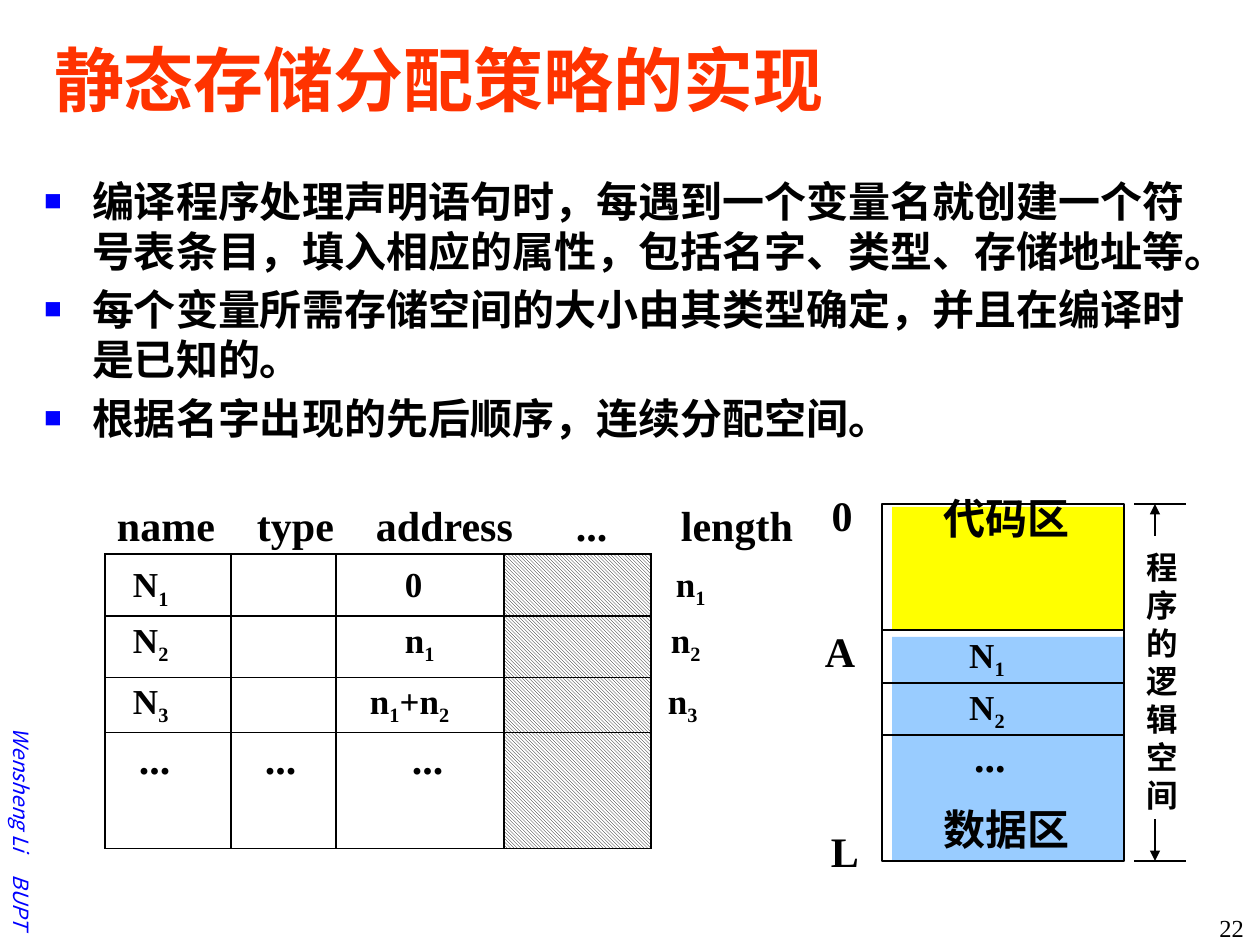
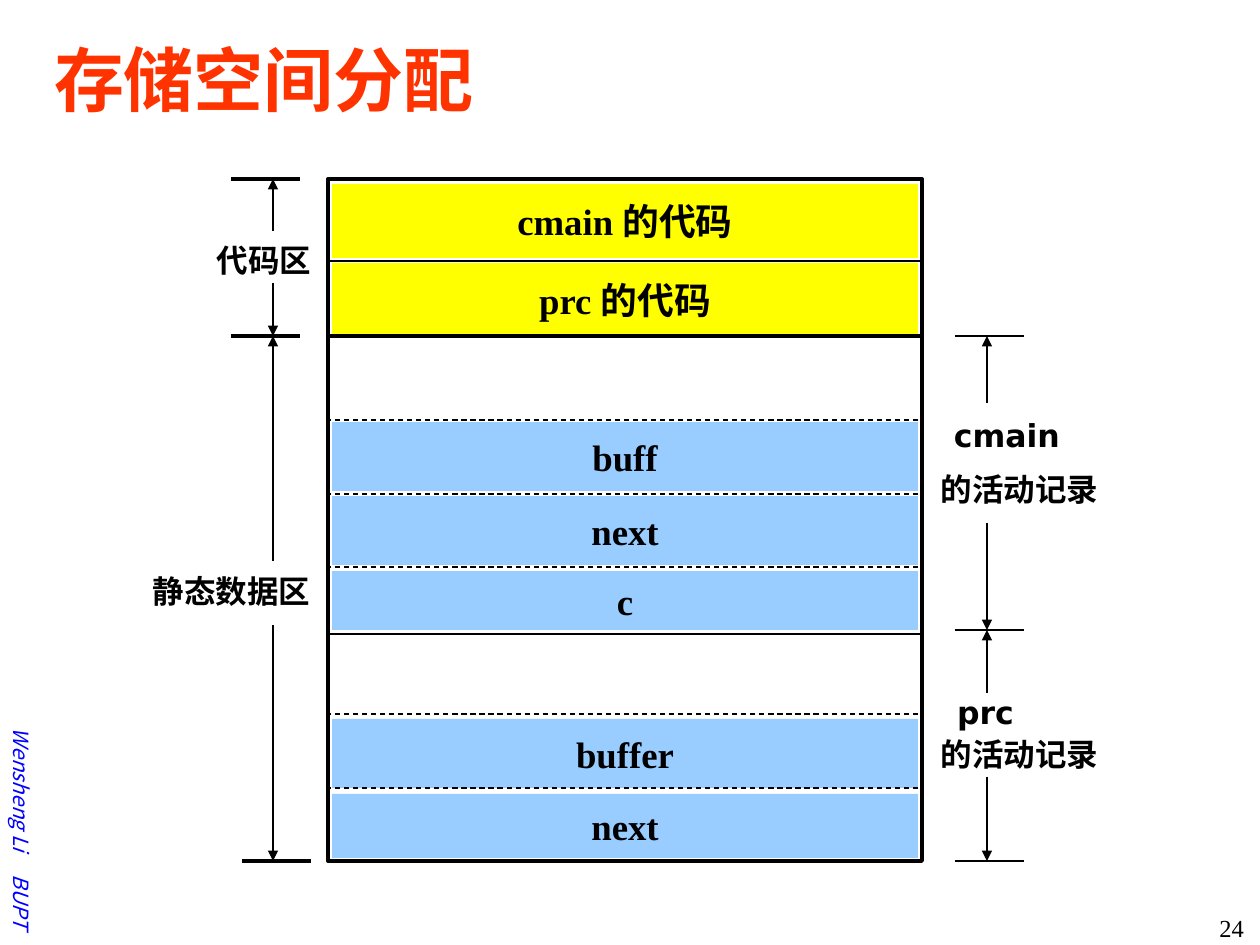
from lxml import etree
from pptx import Presentation
from pptx.dml.color import RGBColor
from pptx.enum import dml, shapes, text
from pptx.oxml.ns import qn
from pptx.util import Pt

EMU_PER_PX = 914400 / 126
SERIF, SANS, LATIN_SANS = "Times New Roman", "Noto Sans CJK SC", "DejaVu Sans"
BLACK, WHITE, RED, BLUE = "000000", "FFFFFF", "FF3300", "0000FF"
CODE_FILL, DATA_FILL = "FFFF00", "99CCFF"
LEFT, CENTER, RIGHT = text.PP_ALIGN.LEFT, text.PP_ALIGN.CENTER, text.PP_ALIGN.RIGHT
MIDDLE, TOP = text.MSO_ANCHOR.MIDDLE, text.MSO_ANCHOR.TOP


def px(length):
    return round(length * EMU_PER_PX)


def emu_box(box):
    return [px(length) for length in box]


def rgb(hex_colour):
    return RGBColor.from_string(hex_colour)


def child(parent, tag, **attributes):
    return etree.SubElement(parent, qn(tag), attributes)


# ---- Text ----

def add_run(paragraph, words, size, font=SERIF, colour=BLACK, bold=True,
            italic=False, subscript=False):
    run = paragraph.add_run()
    run.text = words
    run.font.name = font
    run.font.size = Pt(size)
    run.font.bold = bold
    run.font.italic = italic
    run.font.color.rgb = rgb(colour)
    properties = run._r.get_or_add_rPr()
    child(properties, "a:ea", typeface=SANS)
    if subscript:
        properties.set("baseline", "-25000")


def add_formula(paragraph, formula, size, **style):
    """Each "_" lowers the one character after it."""
    first, *rest = formula.split("_")
    if first:
        add_run(paragraph, first, size, **style)
    for piece in rest:
        add_run(paragraph, piece[0], size, subscript=True, **style)
        if piece[1:]:
            add_run(paragraph, piece[1:], size, **style)


def prepare_frame(frame, anchor=MIDDLE, wrap=False, inset=0):
    frame.auto_size = text.MSO_AUTO_SIZE.NONE
    frame.word_wrap = wrap
    frame.vertical_anchor = anchor
    frame.margin_left = frame.margin_right = px(inset)
    frame.margin_top = frame.margin_bottom = px(inset / 2)


def add_label(slide, box, formula, size, align=CENTER, **style):
    label = slide.shapes.add_textbox(*emu_box(box))
    prepare_frame(label.text_frame)
    paragraph = label.text_frame.paragraphs[0]
    paragraph.alignment = align
    add_formula(paragraph, formula, size, **style)
    return label


# ---- Shapes and lines ----

def add_block(slide, box, fill=None, outline=None):
    block = slide.shapes.add_shape(shapes.MSO_SHAPE.RECTANGLE, *emu_box(box))
    block.shadow.inherit = False
    if fill:
        block.fill.solid()
        block.fill.fore_color.rgb = rgb(fill)
    else:
        block.fill.background()
    if outline:
        block.line.color.rgb = rgb(BLACK)
        block.line.width = Pt(outline)
    else:
        block.line.fill.background()
    return block


def add_line(slide, ends, width, arrow=False, dashed=False):
    line = slide.shapes.add_connector(shapes.MSO_CONNECTOR.STRAIGHT, *emu_box(ends))
    line.line.color.rgb = rgb(BLACK)
    line.line.width = Pt(width)
    if dashed:
        line.line.dash_style = dml.MSO_LINE.DASH
    if arrow:
        child(line.line._get_or_add_ln(), "a:tailEnd", type="triangle")
    child(line._element.spPr, "a:effectLst")


def add_extent(slide, x, top, bottom, gap, width):
    """Two arrows pointing away from the gap left for a label."""
    gap_top, gap_bottom = gap
    add_line(slide, (x, gap_top, x, top), width, arrow=True)
    add_line(slide, (x, gap_bottom, x, bottom), width, arrow=True)


# ---- Shared frame of each slide ----

def add_author(slide):
    author = add_label(slide, (-79, 810, 202, 38), "", 12, LEFT)
    author.rotation = 90
    paragraph = author.text_frame.paragraphs[0]
    tabs = child(paragraph._p.get_or_add_pPr(), "a:tabLst")
    child(tabs, "a:tab", pos=str(px(147)), algn="l")
    add_run(paragraph, "Wensheng Li\tBUPT", 12, SANS, BLUE, bold=False, italic=True)


def start_slide(prs, title, number, layout):
    slide = prs.slides.add_slide(prs.slide_layouts[layout])
    add_author(slide)
    add_label(slide, (1152, 912, 92, 32), number, 14, RIGHT, bold=False)
    heading = slide.shapes.title
    heading.left, heading.top, heading.width, heading.height = emu_box((41, 21, 1187, 116))
    prepare_frame(heading.text_frame, wrap=True, inset=13)
    paragraph = heading.text_frame.paragraphs[0]
    paragraph.alignment = LEFT
    add_run(paragraph, title, 40, SANS, RED)
    return slide


def fill_bullets(body, box, points):
    body.left, body.top, body.width, body.height = emu_box(box)
    frame = body.text_frame
    prepare_frame(frame, TOP, wrap=True, inset=13)
    for index, point in enumerate(points):
        paragraph = frame.add_paragraph() if index else frame.paragraphs[0]
        properties = paragraph._p.get_or_add_pPr()
        properties.set("marL", str(px(48)))
        properties.set("indent", str(px(-48)))
        child(child(properties, "a:buClr"), "a:srgbClr", val=BLUE)
        child(properties, "a:buSzPct", val="70000")
        child(properties, "a:buFont", typeface=SERIF)
        child(properties, "a:buChar", char="■")
        paragraph.space_before = Pt(4.8 if index else 0)
        paragraph.line_spacing = Pt(28.6)
        add_run(paragraph, point, 24, SANS)


# ---- Slide 22: symbol table and program space ----

def border_cell(cell):
    properties = cell._tc.get_or_add_tcPr()
    for position, side in enumerate(("a:lnL", "a:lnR", "a:lnT", "a:lnB")):
        edge = etree.Element(qn(side), w=str(Pt(0.75)))
        child(child(edge, "a:solidFill"), "a:srgbClr", val=BLACK)
        properties.insert(position, edge)


def draw_symbol_table(slide, box):
    left, top, width, height = box
    columns = (126, 105, 168, 147)
    # Row height, space above the text, size, then (indent, value) by column
    blank = (0, "")
    rows = [(62, 12, 20, ((28, "N_1"), blank, (69, "0"), blank)),
            (62, 6, 20, ((28, "N_2"), blank, (69, "n_1"), blank)),
            (55, 5, 20, ((28, "N_3"), blank, (34, "n_1+n_2"), blank)),
            (116, 4, 24, ((34, "..."), (34, "..."), (76, "..."), blank))]

    # Hatched column, seen through the clear cells
    hatch = add_block(slide, (left + width - columns[-1], top, columns[-1], height))
    hatch.fill.patterned()
    hatch.fill.pattern = dml.MSO_PATTERN.LIGHT_DOWNWARD_DIAGONAL
    hatch.fill.fore_color.rgb = rgb(BLACK)
    hatch.fill.back_color.rgb = rgb(WHITE)

    table = slide.shapes.add_table(len(rows), len(columns), *emu_box(box)).table
    table.first_row = table.horz_banding = False
    for column, column_width in zip(table.columns, columns):
        column.width = px(column_width)
    for row, (row_height, space, size, entries) in zip(table.rows, rows):
        row.height = px(row_height)
        for cell, (indent, value) in zip(row.cells, entries):
            cell.fill.background()
            border_cell(cell)
            cell.margin_left, cell.margin_top = px(indent), px(space)
            cell.margin_right = cell.margin_bottom = 0
            cell.vertical_anchor = TOP
            paragraph = cell.text_frame.paragraphs[0]
            paragraph.font.size = Pt(size)
            add_formula(paragraph, value, size)

    # Headings above and lengths beside the grid
    for offset, heading in ((12, "name"), (152, "type"), (271, "address"),
                            (471, "..."), (576, "length")):
        label_width = 140 if heading == "address" else 114
        add_label(slide, (left + offset, top - 55, label_width, 52), heading, 24, LEFT)
    for offset, y, length in ((571, 5, "n_1"), (566, 61, "n_2"), (563, 122, "n_3")):
        add_label(slide, (left + offset, top + y, 63, 54), length, 20, LEFT)


def draw_program_space(slide, box):
    left, top, width, height = box
    right, bottom = left + width, top + height
    add_block(slide, (left + 10, top + 3, width - 10, 123), CODE_FILL)
    add_block(slide, (left + 10, top + 133, width - 10, height - 133), DATA_FILL)
    add_block(slide, box, outline=0.75)
    for y in (126, 179, 231):
        add_line(slide, (left, top + y, right, top + y), 0.75)

    # Contents and addresses: centre offset, middle, width, words, size
    for x, y, label_width, words, size in (
            (125, 14, 140, "代码区", 24), (125, 325, 140, "数据区", 24),
            (105, 153, 60, "N_1", 20), (105, 205, 60, "N_2", 20),
            (108, 252, 60, "...", 24), (-40, 11, 46, "0", 24),
            (-42, 147, 46, "A", 24), (-37, 347, 46, "L", 24)):
        add_label(slide, (left + x - label_width / 2, top + y - 25, label_width, 50),
                  words, size)

    # Extent of the logical space
    for y in (top, bottom):
        add_line(slide, (right + 10, y, right + 62, y), 0.75)
    add_extent(slide, right + 31, top, bottom, (top + 32, top + 315), 0.75)
    caption = slide.shapes.add_textbox(*emu_box((right + 10, top + 38, 56, 277)))
    prepare_frame(caption.text_frame)
    for index, character in enumerate("程序的逻辑空间"):
        frame = caption.text_frame
        paragraph = frame.add_paragraph() if index else frame.paragraphs[0]
        paragraph.alignment = CENTER
        paragraph.line_spacing = Pt(21.7)
        add_run(paragraph, character, 18)


def build_static_allocation(prs):
    slide = start_slide(prs, "静态存储分配策略的实现", "22", layout=1)
    fill_bullets(slide.placeholders[1], (31, 169, 1197, 293), [
        "编译程序处理声明语句时，每遇到一个变量名就创建一个符号表条目，填入相应的属性，包括名字、类型、存储地址等。",
        "每个变量所需存储空间的大小由其类型确定，并且在编译时是已知的。",
        "根据名字出现的先后顺序，连续分配空间。"])
    draw_symbol_table(slide, (105, 554, 546, 295))
    draw_program_space(slide, (882, 504, 242, 357))


# ---- Slide 24: memory layout ----

def draw_memory_map(slide, box):
    left, top, width, height = box
    add_block(slide, box, outline=2.25)
    for y, band_height, fill, words in (
            (5, 74, CODE_FILL, "cmain 的代码"), (84, 74, CODE_FILL, "prc 的代码"),
            (243, 69, DATA_FILL, "buff"), (317, 69, DATA_FILL, "next"),
            (392, 59, DATA_FILL, "c"), (540, 69, DATA_FILL, "buffer"),
            (615, 64, DATA_FILL, "next")):
        band = add_block(slide, (left + 4, top + y, width - 8, band_height), fill)
        prepare_frame(band.text_frame)
        paragraph = band.text_frame.paragraphs[0]
        paragraph.alignment = CENTER
        add_run(paragraph, words, 21)
    for y, line_width in ((82, 1.5), (157, 2.25), (455, 1.5)):
        add_line(slide, (left, top + y, left + width, top + y), line_width)
    for y in (241, 315, 388, 535, 609):
        add_line(slide, (left - 2, top + y, left + width, top + y), 0.75, dashed=True)


def draw_extents(slide, box, axis, ticks, tick_width, spans, captions):
    """Ticks and captions are offsets from the box; spans share one axis."""
    left, top, width, _ = box
    for x, y in ticks:
        add_line(slide, (left + x, top + y, left + x + 69, top + y), tick_width)
    for start, end, gap in spans:
        add_extent(slide, left + axis, top + start, top + end,
                   [top + y for y in gap], 1.5)
    for x, y, words, font in captions:
        add_label(slide, (left + x, top + y - 20, width - x, 38), words, 18, LEFT, font=font)


def build_memory_layout(prs):
    slide = start_slide(prs, "存储空间分配", "24", layout=5)
    draw_memory_map(slide, (328, 179, 594, 682))
    # Areas on the left
    draw_extents(slide, (153, 179, 158, 682), 120, [(78, 0), (78, 157), (89, 682)], 2.25,
                 [(0, 157, (52, 104)), (157, 682, (382, 446))],
                 [(64, 82, "代码区", SERIF), (0, 413, "静态数据区", SERIF)])
    # Activation records on the right
    draw_extents(slide, (941, 179, 158, 682), 46, [(14, 157), (14, 451), (14, 682)], 1.5,
                 [(157, 451, (224, 344)), (451, 682, (514, 598))],
                 [(13, 257, "cmain", LATIN_SANS), (0, 311, "的活动记录", SERIF),
                  (16, 534, "prc", LATIN_SANS), (0, 576, "的活动记录", SERIF)])


def main():
    prs = Presentation()
    prs.slide_width, prs.slide_height = px(1260), px(945)
    build_static_allocation(prs)
    build_memory_layout(prs)
    prs.save("out.pptx")


if __name__ == "__main__":
    main()
